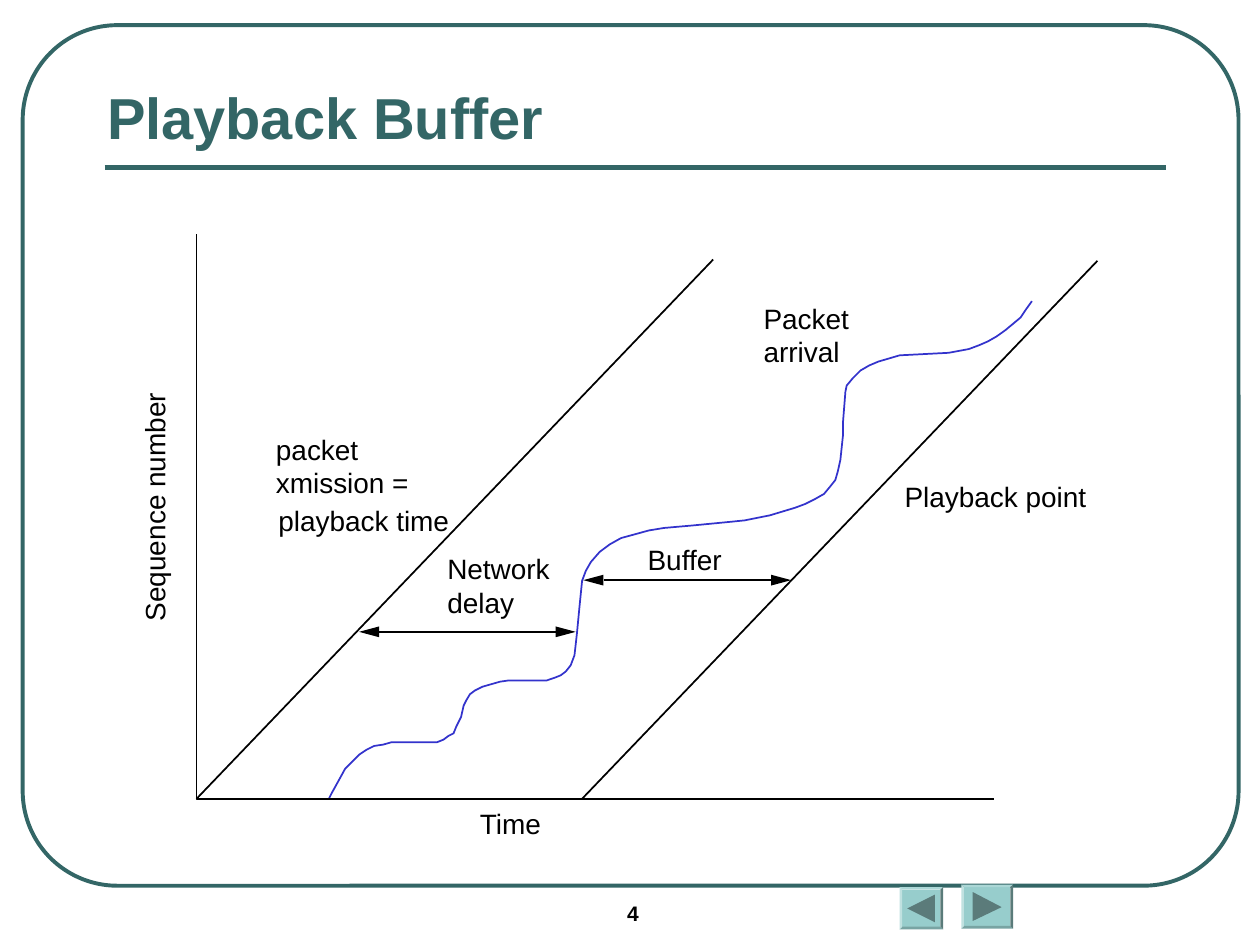
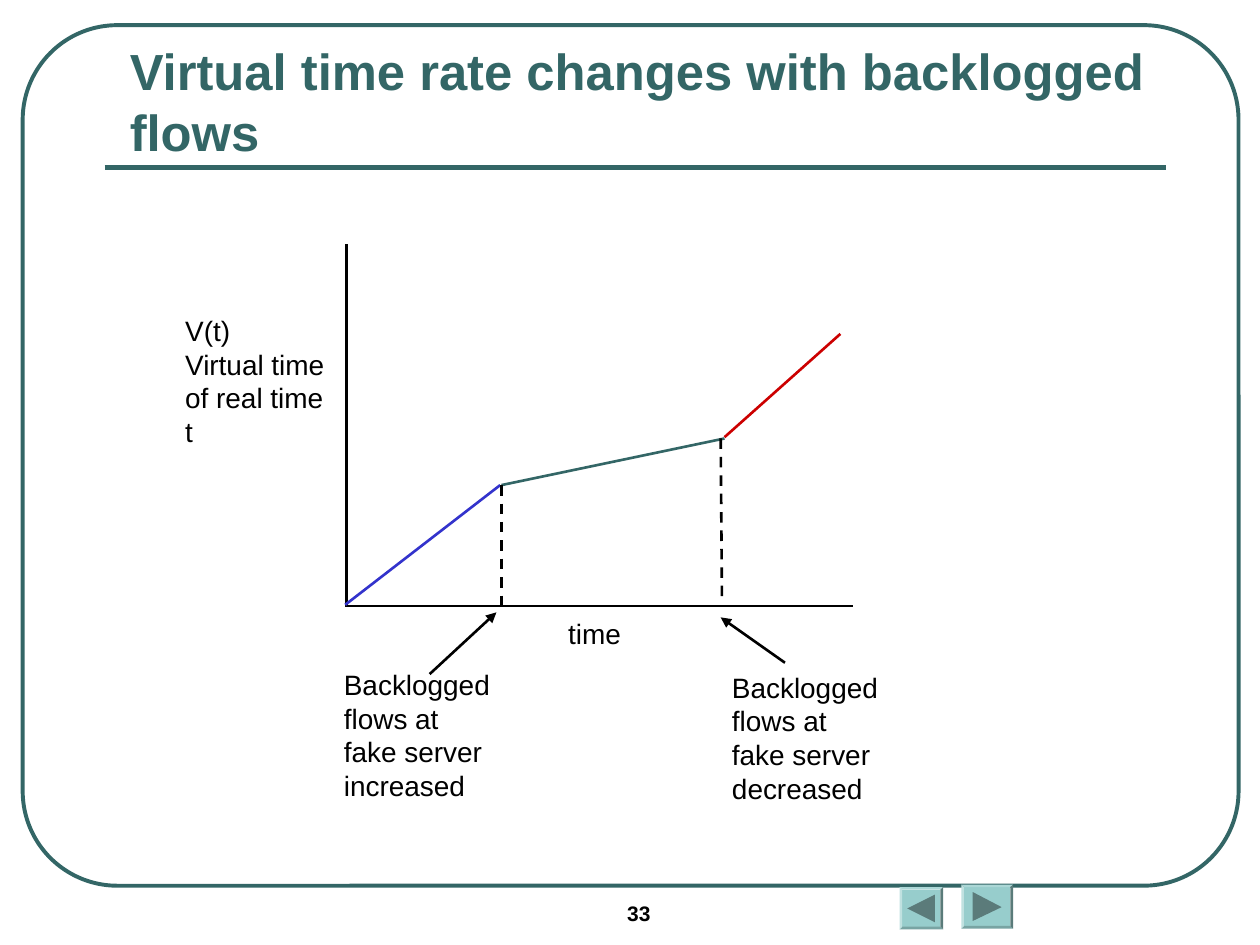
from dataclasses import dataclass

import pptx
import pptx.dml.color
import pptx.enum.dml
import pptx.enum.shapes
import pptx.enum.text
import pptx.oxml
import pptx.oxml.ns
import pptx.util
from lxml import etree

FONT = "Arial"
COLORS = {
    "teal": "336666",
    "button": "97CDCC",
    "button_arrow": "5B7B7A",
    "black": "000000",
    "blue": "3333CC",
    "red": "CC0000",
}
SHAPE = pptx.enum.shapes.MSO_SHAPE
Point = tuple[float, float]
Box = tuple[float, float, float, float]

prs = pptx.Presentation()
prs.slide_width = pptx.util.Inches(10)
prs.slide_height = pptx.util.Inches(7.5)
COLUMNS, ROWS = 100, 75
COL = prs.slide_width / COLUMNS
ROW = prs.slide_height / ROWS


@dataclass
class Line:
    start: Point
    end: Point
    color: str = "black"
    width: float = 1.5
    dashed: bool = False
    arrow: bool = False


@dataclass
class Label:
    box: Box
    lines: list[str]
    size: float = 16
    bold: bool = False
    rotation: float = 0
    inset: Point = (0, 0)


@dataclass
class NavButton:
    box: Box
    arrow: list[Point]


NAV_BUTTONS = [
    NavButton((71.4, 70.4, 3.45, 3.35), [(72, 72.1), (74.2, 71), (74.2, 73.2)]),
    NavButton((76.3, 70.2, 4.1, 3.5), [(77.2, 70.8), (79.5, 72), (77.2, 73.1)]),
]

PACKET_ARRIVAL = [
    (26.1, 63.4), (26.3, 63), (26.8, 62.1), (27.4, 61), (27.9, 60.5), (28.5, 59.9),
    (29.1, 59.5), (29.7, 59.2), (30.4, 59.1), (31.1, 58.9), (34.2, 58.9), (34.7, 58.9),
    (35.2, 58.7), (35.6, 58.4), (36, 58.2), (36.2, 57.7), (36.4, 57.3), (36.6, 56.9),
    (36.8, 56), (37, 55.6), (37.3, 55.1), (37.7, 54.8), (38.3, 54.5), (39, 54.3),
    (39.7, 54.1), (40.4, 54), (42.7, 54), (43.4, 54), (44, 53.8), (44.5, 53.6),
    (44.9, 53.3), (45.3, 52.8), (45.6, 52), (45.8, 50.2), (46, 48.1), (46.2, 46.1),
    (46.5, 45.3), (46.9, 44.6), (47.6, 43.8), (48.4, 43.2), (49.3, 42.7), (50.4, 42.4),
    (51.5, 42.1), (52.7, 41.9), (55, 41.7), (58.1, 41.4), (59.1, 41.3), (61.1, 40.9),
    (63.1, 40.3), (63.9, 40), (64.7, 39.6), (65.4, 39.2), (65.9, 38.6), (66.3, 38.1),
    (66.5, 37.4), (66.7, 36.5), (66.9, 34.6), (66.9, 33.6), (67.1, 31.1), (67.2, 30.6),
    (67.7, 30), (68.3, 29.4), (69, 29), (69.7, 28.7), (71.4, 28.2), (75.3, 28),
    (76.9, 27.7), (77.7, 27.4), (78.4, 27.1), (79.1, 26.7), (79.8, 26.2), (80.4, 25.7),
    (81, 25.2), (81.4, 24.6), (81.9, 23.9),
]


def rgb(name: str) -> pptx.dml.color.RGBColor:
    return pptx.dml.color.RGBColor.from_string(COLORS[name])


def cells(*values: float) -> list[int]:
    """Turn alternating columns and rows into EMU."""
    return [round(v * (ROW if i % 2 else COL)) for i, v in enumerate(values)]


def fill(sp, color: str) -> None:
    sp.shadow.inherit = False
    sp.fill.solid()
    sp.fill.fore_color.rgb = rgb(color)
    sp.line.fill.background()


def outline(sp, color: str, width: float) -> None:
    sp.shadow.inherit = False
    sp.fill.background()
    sp.line.color.rgb = rgb(color)
    sp.line.width = pptx.util.Pt(width)


def add_path(slide, points: list[Point], closed: bool = False):
    start, *rest = [cells(*point) for point in points]
    builder = slide.shapes.build_freeform(*start)
    builder.add_line_segments(rest, close=closed)
    return builder.convert_to_shape()


def add_line(slide, line: Line) -> None:
    sp = slide.shapes.add_connector(
        pptx.enum.shapes.MSO_CONNECTOR.STRAIGHT, *cells(*line.start, *line.end))
    sp.line.color.rgb = rgb(line.color)
    sp.line.width = pptx.util.Pt(line.width)
    if line.dashed:
        sp.line.dash_style = pptx.enum.dml.MSO_LINE.DASH
    if line.arrow:
        ln = sp.line._get_or_add_ln()
        etree.SubElement(ln, pptx.oxml.ns.qn("a:tailEnd"), type="triangle")
    etree.SubElement(sp._element.spPr, pptx.oxml.ns.qn("a:effectLst"))


def add_span_arrow(slide, left: float, right: float, y: float) -> None:
    """Draw a level line with a long, slim head at each end."""
    length, half = 1.6, 0.43
    add_line(slide, Line((left + length, y), (right - length, y), width=1))
    for tip, base in ((left, left + length), (right, right - length)):
        head = [(tip, y), (base, y - half), (base, y + half)]
        fill(add_path(slide, head, closed=True), "black")


def add_label(slide, label: Label) -> None:
    sp = slide.shapes.add_textbox(*cells(*label.box))
    sp.rotation = label.rotation
    tf = sp.text_frame
    tf.word_wrap = True
    tf.margin_left, tf.margin_top = cells(*label.inset)
    tf.margin_right, tf.margin_bottom = tf.margin_left, tf.margin_top
    tf.text = "\n".join(label.lines)
    for p in tf.paragraphs:
        p.font.name = FONT
        p.font.size = pptx.util.Pt(label.size)
        p.font.bold = label.bold
        p.font.color.rgb = rgb("black")


def add_nav_button(slide, button: NavButton) -> None:
    sp = slide.shapes.add_shape(SHAPE.BEVEL, *cells(*button.box))
    sp.adjustments[0] = 0.06
    fill(sp, "button")
    fill(add_path(slide, button.arrow, closed=True), "button_arrow")


def add_framed_slide(title: str, box: Box, size: float, number: int):
    """Add a slide with the frame, title, rule, page number and buttons."""
    slide = prs.slides.add_slide(prs.slide_layouts.get_by_name("Title Only"))
    frame = slide.shapes.add_shape(
        SHAPE.ROUNDED_RECTANGLE, *cells(1.8, 2, 96.5, 68.3))
    frame.adjustments[0] = 0.11
    outline(frame, "teal", 2.25)
    add_line(slide, Line((8.3, 13.3), (92.5, 13.3), "teal", 3))
    for button in NAV_BUTTONS:
        add_nav_button(slide, button)
    add_label(slide, Label((48.8, 71, 11.7, 3.3), [str(number)], 12, bold=True,
                           inset=(1, 0.5)))

    sp = slide.shapes.title
    sp.left, sp.top, sp.width, sp.height = cells(*box)
    tf = sp.text_frame
    tf.text = title
    tf.word_wrap = True
    tf.auto_size = pptx.enum.text.MSO_AUTO_SIZE.NONE
    tf.vertical_anchor = pptx.enum.text.MSO_ANCHOR.BOTTOM
    p = tf.paragraphs[0]
    p.alignment = pptx.enum.text.PP_ALIGN.LEFT
    p.font.name = FONT
    p.font.size = pptx.util.Pt(size)
    p.font.bold = True
    p.font.color.rgb = rgb("teal")
    return slide


def build_playback_buffer() -> None:
    slide = add_framed_slide("Playback Buffer", (7.5, 0, 85, 12.5), 33, 4)
    outline(add_path(slide, PACKET_ARRIVAL), "blue", 1)
    axes = [(15.6, 18.6), (15.6, 63.4), (78.9, 63.4)]
    outline(add_path(slide, axes), "black", 1)
    for top, bottom in (((56.6, 20.6), (15.6, 63.4)), ((87.1, 20.7), (46.2, 63.4))):
        add_line(slide, Line(top, bottom, width=1))
    add_span_arrow(slide, 46.3, 62.8, 46.05)
    add_span_arrow(slide, 28.5, 45.7, 50.15)
    for label in (
        Label((2.7, 38.4, 19.1, 2.7), ["Sequence number"], rotation=270),
        Label((21.9, 34.3, 11.5, 5.4), ["packet", "xmission ="]),
        Label((22.1, 40, 14.6, 2.7), ["playback time"]),
        Label((35.5, 43.8, 9.1, 5.4), ["Network", "delay"]),
        Label((51.4, 43.1, 6.9, 2.7), ["Buffer"]),
        Label((71.8, 38.1, 15.4, 2.7), ["Playback point"]),
        Label((38.1, 64, 6, 2.7), ["Time"]),
        Label((60.6, 23.9, 7.8, 5.4), ["Packet", "arrival"]),
    ):
        add_label(slide, label)


def build_virtual_time() -> None:
    slide = add_framed_slide("Virtual time rate changes with backlogged flows",
                             (9.3, 5.8, 84.2, 7.5), 29, 33)
    for line in (
        Line((27.5, 19.4), (27.5, 48.2)),
        Line((27.4, 48.1), (67.7, 48.1)),
        Line((27.4, 48), (39.7, 38.5), "blue"),
        Line((39.8, 38.5), (57.5, 34.8), "teal"),
        Line((57.5, 34.7), (66.7, 26.5), "red"),
        Line((39.8, 38.5), (39.8, 48.2), dashed=True),
        Line((57.2, 34.8), (57.3, 47.7), dashed=True),
        Line((34.1, 53.5), (39.4, 48.6), arrow=True),
        Line((62.3, 52.6), (57.2, 49), arrow=True),
    ):
        add_line(slide, line)
    add_label(slide, Label((45.1, 48.9, 6.2, 2.7), ["time"]))
    add_label(slide, Label((14.7, 24.9, 12, 10.7),
                           ["V(t)", "Virtual time of real time t"]))
    for left, top, change in ((27.3, 53, "increased"), (58.1, 53.2, "decreased")):
        add_label(slide, Label((left, top, 12, 10.7),
                               [f"Backlogged flows at fake server {change}"]))


def main() -> None:
    build_playback_buffer()
    build_virtual_time()
    prs.save("out.pptx")


if __name__ == "__main__":
    main()
